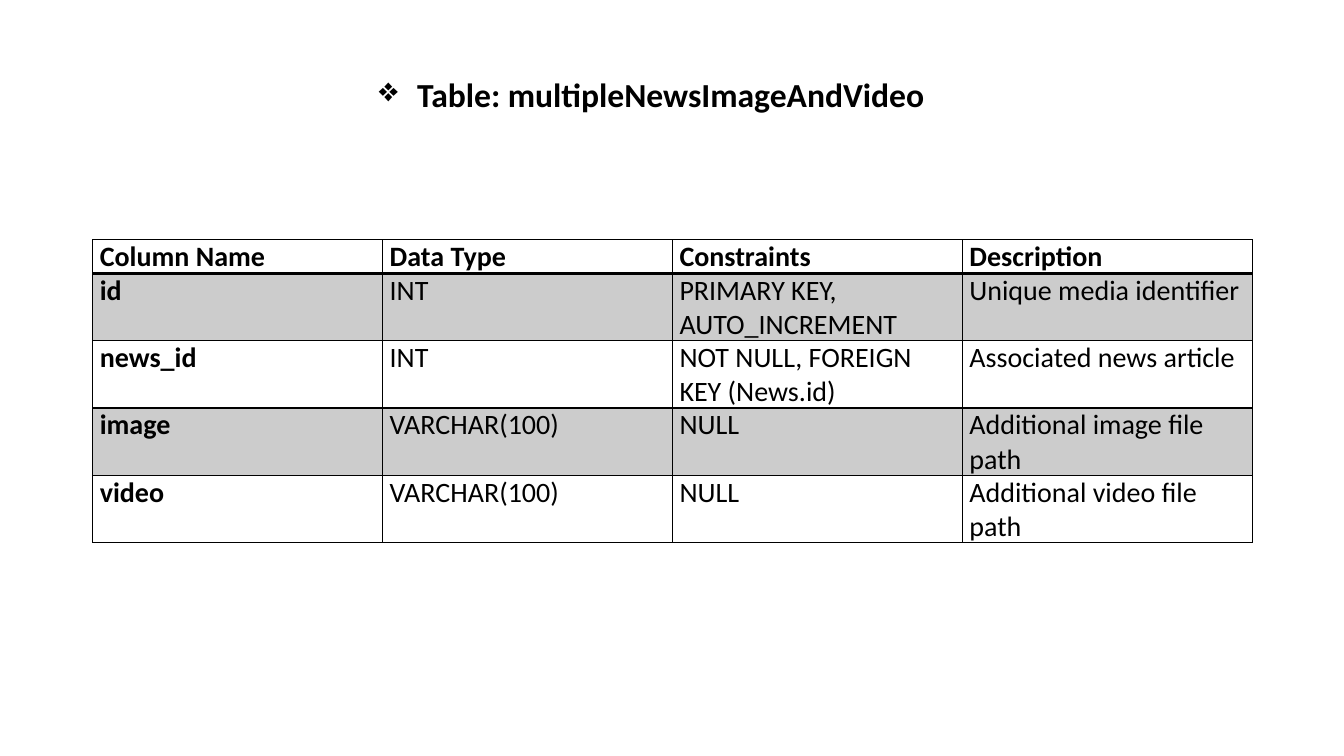
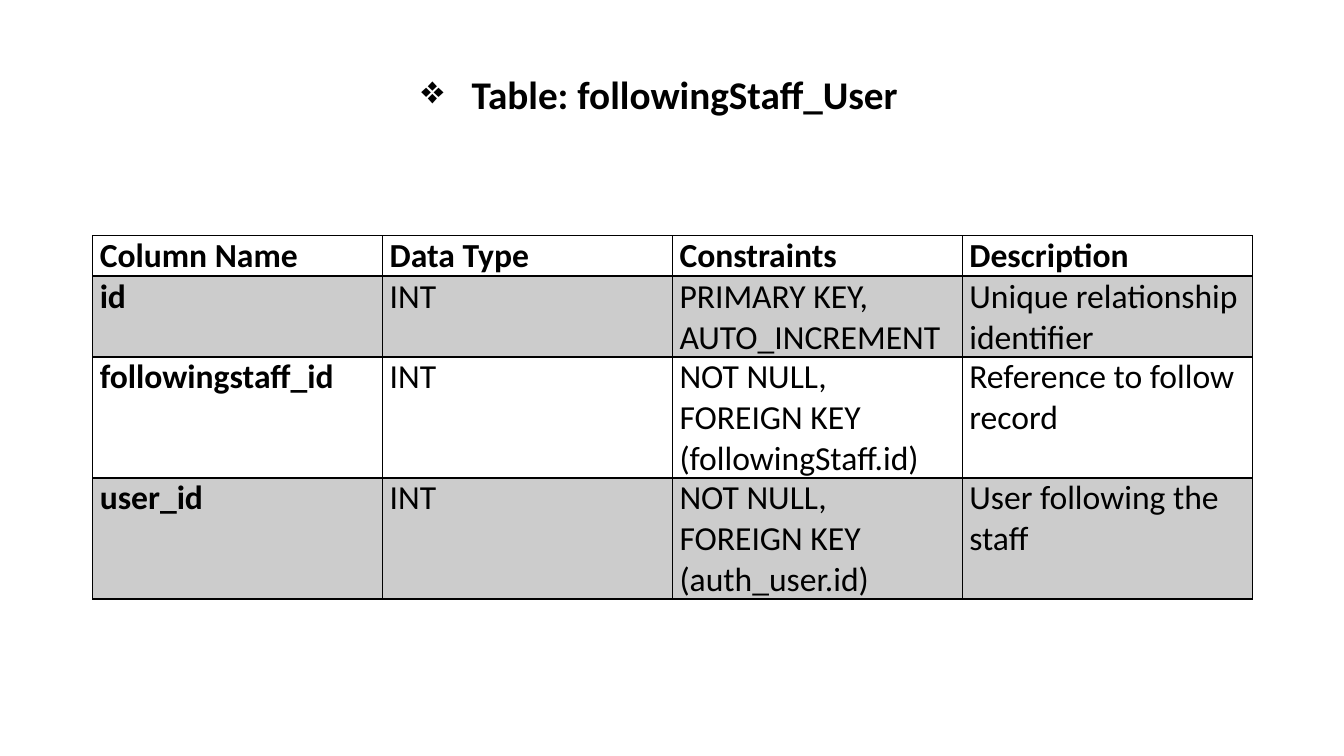
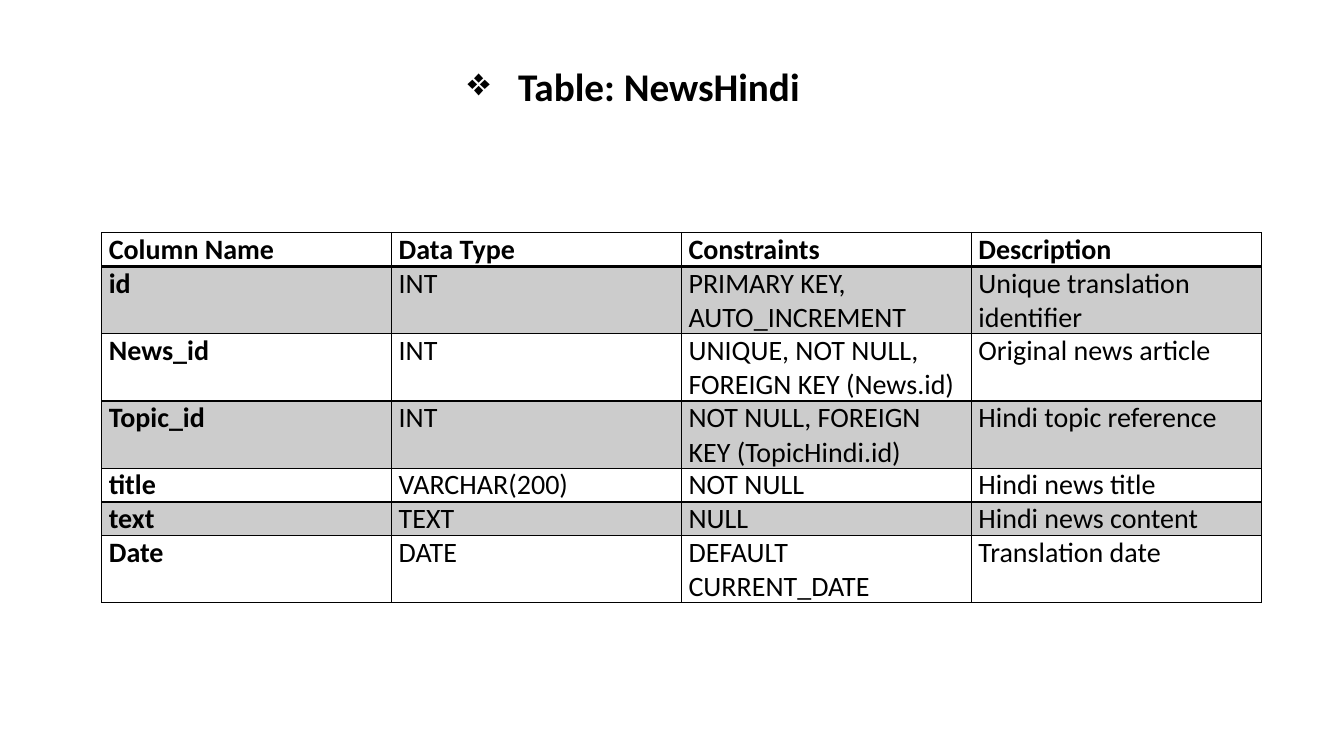
from dataclasses import dataclass

from lxml import etree
from pptx import Presentation
from pptx.dml.color import RGBColor
from pptx.enum.text import MSO_AUTO_SIZE
from pptx.oxml.ns import qn
from pptx.slide import Slide
from pptx.table import _Cell
from pptx.text.text import TextFrame
from pptx.util import Inches, Pt

FIT_SHAPE = MSO_AUTO_SIZE.SHAPE_TO_FIT_TEXT
BLACK = RGBColor(0, 0, 0)
BAND_OPACITY = 20
FONT = "Calibri"
BULLET = "❖"
HEADERS = ("Column Name", "Data Type", "Constraints", "Description")
TABLE_WIDTH = 11.5
CELL_MARGIN = 0.07
THIN, THICK = 1, 2
POINTS_PER_INCH_OF_LINE = 60
BLANK_LAYOUT = 6


@dataclass(frozen=True)
class Title:
    text: str
    left: float
    top: float
    width: float
    height: float
    size: int
    indent: float


@dataclass(frozen=True)
class Field:
    name: str
    data_type: str
    constraints: str
    description: str
    lines: int = 2


@dataclass(frozen=True)
class TableSlide:
    title: Title
    left: float
    top: float
    size: int
    fields: tuple[Field, ...]


TABLE_SLIDES = (
    TableSlide(
        Title("Table: multipleNewsImageAndVideo", 3.66, 0.68, 5.66, 0.5, 24, 0.38),
        0.92, 2.38, 20,
        (
            Field("id", "INT", "PRIMARY KEY, AUTO_INCREMENT", "Unique media identifier"),
            Field("news_id", "INT", "NOT NULL, FOREIGN KEY (News.id)", "Associated news article"),
            Field("image", "VARCHAR(100)", "NULL", "Additional image file path"),
            Field("video", "VARCHAR(100)", "NULL", "Additional video file path"),
        ),
    ),
    TableSlide(
        Title("Table: followingStaff_User", 4.08, 0.65, 4.99, 0.57, 28, 0.5),
        0.92, 2.34, 24,
        (
            Field("id", "INT", "PRIMARY KEY, AUTO_INCREMENT", "Unique relationship identifier"),
            Field("followingstaff_id", "INT", "NOT NULL, FOREIGN KEY (followingStaff.id)",
                  "Reference to follow record", 3),
            Field("user_id", "INT", "NOT NULL, FOREIGN KEY (auth_user.id)",
                  "User following the staff", 3),
        ),
    ),
    TableSlide(
        Title("Table: NewsHindi", 4.54, 0.57, 3.53, 0.57, 28, 0.5),
        1.01, 2.31, 20,
        (
            Field("id", "INT", "PRIMARY KEY, AUTO_INCREMENT", "Unique translation identifier"),
            Field("News_id", "INT", "UNIQUE, NOT NULL, FOREIGN KEY (News.id)",
                  "Original news article"),
            Field("Topic_id", "INT", "NOT NULL, FOREIGN KEY (TopicHindi.id)",
                  "Hindi topic reference"),
            Field("title", "VARCHAR(200)", "NOT NULL", "Hindi news title", 1),
            Field("text", "TEXT", "NULL", "Hindi news content", 1),
            Field("Date", "DATE", "DEFAULT CURRENT_DATE", "Translation date"),
        ),
    ),
)


def write_text(frame: TextFrame, text: str, *, size: int, bold: bool = False,
               bullet_indent: float = 0) -> None:
    paragraph = frame.paragraphs[0]
    if bullet_indent:
        properties = paragraph._p.get_or_add_pPr()
        properties.set("marL", str(Inches(bullet_indent)))
        properties.set("indent", str(-Inches(bullet_indent)))
        etree.SubElement(properties, qn("a:buChar"), char=BULLET)
    run = paragraph.add_run()
    run.text = text
    run.font.name = FONT
    run.font.size = Pt(size)
    run.font.bold = bold
    run.font.color.rgb = BLACK


def add_title(slide: Slide, title: Title) -> None:
    shape = slide.shapes.add_textbox(Inches(title.left), Inches(title.top),
                                     Inches(title.width), Inches(title.height))
    shape.text_frame.word_wrap = False
    shape.text_frame.auto_size = FIT_SHAPE
    write_text(shape.text_frame, title.text, size=title.size, bold=True,
               bullet_indent=title.indent)


def set_borders(cell: _Cell, top: int, bottom: int) -> None:
    properties = cell._tc.get_or_add_tcPr()
    for side, width in (("L", THIN), ("R", THIN), ("T", top), ("B", bottom)):
        line = etree.SubElement(properties, qn(f"a:ln{side}"), w=str(Pt(width)))
        fill = etree.SubElement(line, qn("a:solidFill"))
        etree.SubElement(fill, qn("a:srgbClr"), val=str(BLACK))


def fill_cell(cell: _Cell, shaded: bool) -> None:
    if not shaded:
        cell.fill.background()
        return
    cell.fill.solid()
    cell.fill.fore_color.rgb = BLACK
    color = cell._tc.tcPr.find(f"{qn('a:solidFill')}/{qn('a:srgbClr')}")
    etree.SubElement(color, qn("a:alpha"), val=str(BAND_OPACITY * 1000))


def add_field_table(slide: Slide, content: TableSlide) -> None:
    rows = (Field(*HEADERS, lines=1), *content.fields)
    line_height = content.size / POINTS_PER_INCH_OF_LINE
    height = line_height * sum(row.lines for row in rows)
    table = slide.shapes.add_table(len(rows), len(HEADERS), Inches(content.left),
                                   Inches(content.top), Inches(TABLE_WIDTH),
                                   Inches(height)).table
    table.horz_banding = False
    for row_index, row in enumerate(rows):
        table.rows[row_index].height = Inches(line_height * row.lines)
        values = (row.name, row.data_type, row.constraints, row.description)
        for column_index, value in enumerate(values):
            cell = table.cell(row_index, column_index)
            cell.margin_left = cell.margin_right = Inches(CELL_MARGIN)
            cell.margin_top = cell.margin_bottom = 0
            write_text(cell.text_frame, value, size=content.size,
                       bold=row_index == 0 or column_index == 0)
            set_borders(cell, top=THICK if row_index == 1 else THIN,
                        bottom=THICK if row_index == 0 else THIN)
            fill_cell(cell, shaded=row_index % 2 == 1)


def main() -> None:
    presentation = Presentation()
    presentation.slide_width = Inches(13.33)
    presentation.slide_height = Inches(7.5)
    for content in TABLE_SLIDES:
        slide = presentation.slides.add_slide(presentation.slide_layouts[BLANK_LAYOUT])
        add_title(slide, content.title)
        add_field_table(slide, content)
    presentation.save("out.pptx")


if __name__ == "__main__":
    main()
